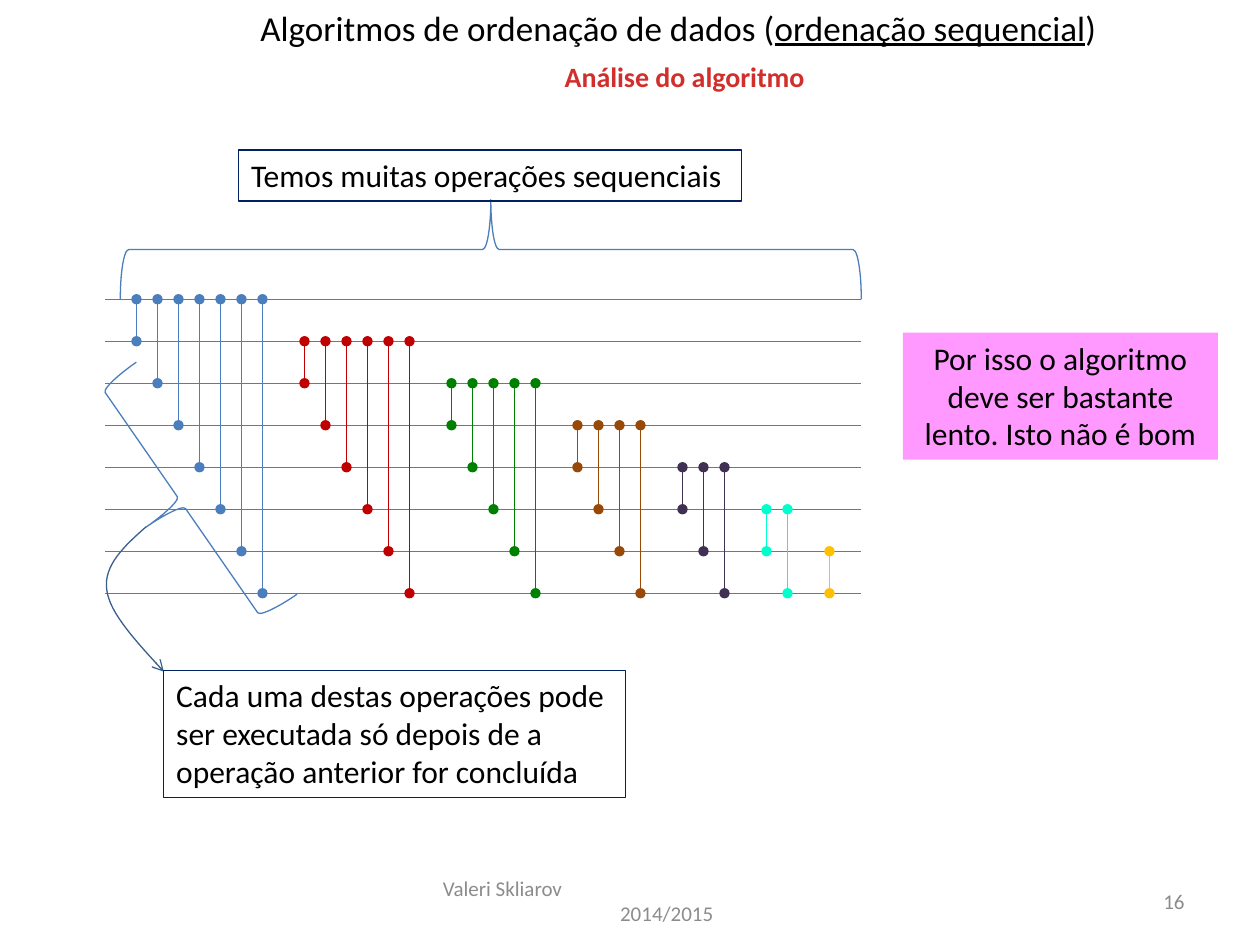
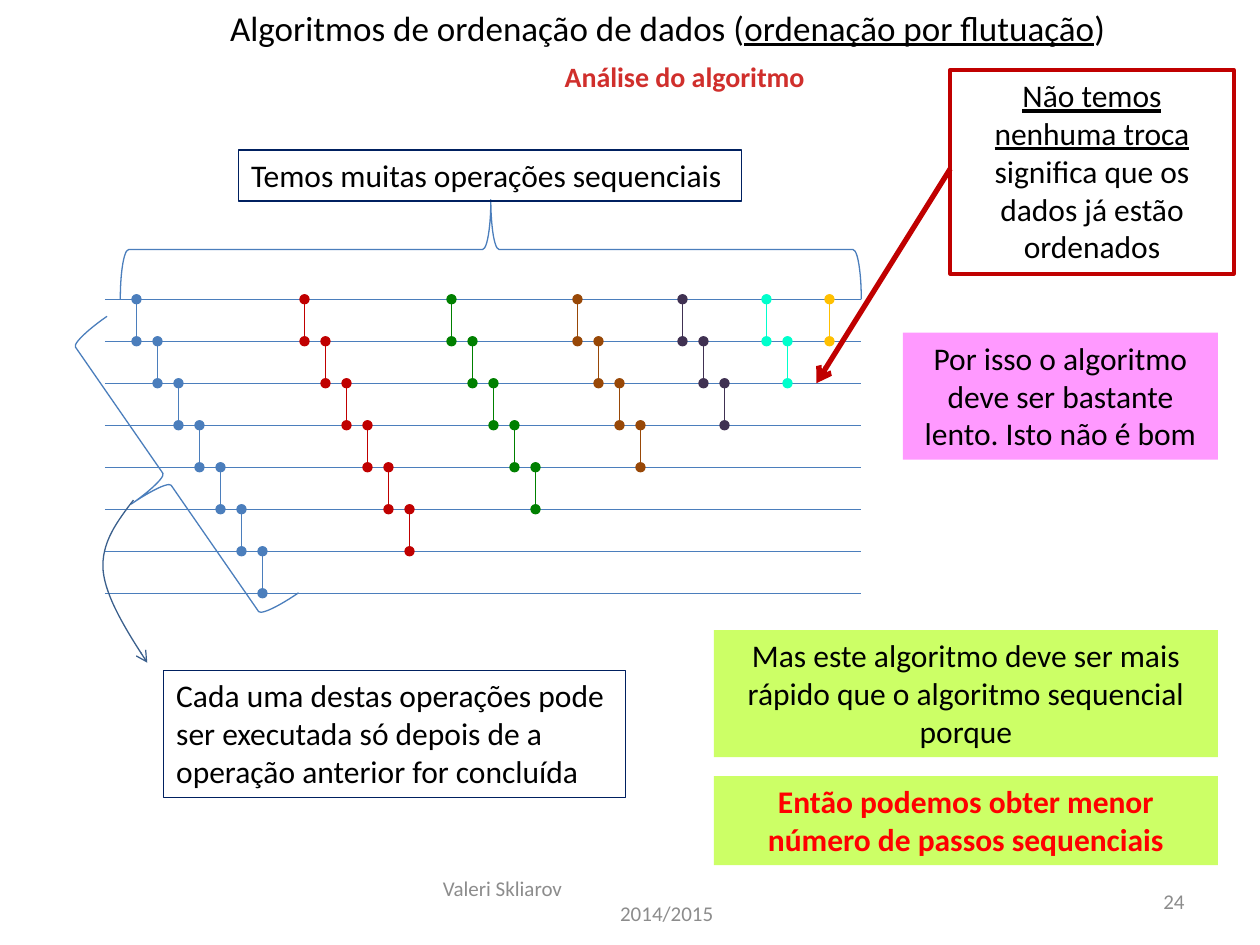
from lxml.etree import SubElement
from pptx import Presentation
from pptx.dml.color import RGBColor
from pptx.enum.shapes import MSO_CONNECTOR, MSO_SHAPE
from pptx.enum.text import MSO_ANCHOR, PP_ALIGN
from pptx.oxml.ns import qn
from pptx.util import Pt

FONT = "Calibri"
HUES = {
    "ink": "000000", "gray": "8C8C8C", "head": "D02F2C", "navy": "002060",
    "blue": "4B7EBC", "steel": "3A5F8C", "red": "C00000", "green": "008000",
    "brown": "984807", "plum": "403152", "aqua": "00FFCC", "gold": "FFC000",
    "pink": "FF99FF", "lime": "CCFF66", "alert": "FF0000",
}
RGB = {name: RGBColor.from_string(code) for name, code in HUES.items()}
PASSES = ["blue", "red", "green", "brown", "plum", "aqua", "gold"]

# Sorting grid: first wire, wire gap, step between operations
TOP, ROW, STEP = 171, 24, 12
LEFT, RIGHT = 60, 492


def box(slide, at, paras, size=18, hue="ink", bold=False, align=PP_ALIGN.CENTER,
        fill=None, edge=None, width=0.75, anchor=MSO_ANCHOR.TOP, wrap=True):
    """Text box; paras is a list of paragraphs, each a list of (text, underlined)."""
    shape = slide.shapes.add_textbox(*[Pt(v) for v in at])
    if fill:
        shape.fill.solid()
        shape.fill.fore_color.rgb = RGB[fill]
    if edge:
        shape.line.color.rgb = RGB[edge]
        shape.line.width = Pt(width)
    frame = shape.text_frame
    frame.word_wrap = wrap
    frame.vertical_anchor = anchor
    for i, runs in enumerate(paras):
        para = frame.add_paragraph() if i else frame.paragraphs[0]
        para.alignment = align
        for text, under in runs:
            run = para.add_run()
            run.text = text
            font = run.font
            font.name, font.size, font.bold = FONT, Pt(size), bold
            font.underline = under
            font.color.rgb = RGB[hue]
    return frame


def stroke(shape, hue, width=0.75, head=None, tail=None):
    """Line colour, width and end marks, without shadow."""
    shape.line.color.rgb = RGB[hue]
    shape.line.width = Pt(width)
    props = shape._element.spPr
    line = props.find(qn("a:ln"))
    for tag, kind in (("a:headEnd", head), ("a:tailEnd", tail)):
        if kind:
            SubElement(line, qn(tag), type=kind)
    SubElement(props, qn("a:effectLst"))


deck = Presentation()
deck.slide_width, deck.slide_height = Pt(720), Pt(540)

# What differs between the two slides
PAGES = [
    {"num": "16", "topic": "ordenação sequencial", "title": (132, 0, 511, 31.5),
     "brace": (79.2, 206.6, 49, 161.3),
     "curve": [(83.5, 301), (71.3, 311.8), (59, 323), (61, 337),
               (62.6, 350.6), (78.5, 367.2), (93.6, 383.8)]},
    {"num": "24", "topic": "ordenação por flutuação", "title": (120, 0, 523, 31.5),
     "brace": (70.6, 177.8, 49.7, 192.2),
     "curve": [(76.3, 285.8), (67, 298), (57.6, 310.3), (59, 326.2),
               (60.5, 341.3), (72, 360), (84.2, 378.7)]},
]

for page in PAGES:
    slide = deck.slides.add_slide(deck.slide_layouts[6])
    shapes = slide.shapes

    # Footer and page number
    foot = box(slide, (246, 500.5, 228, 28.75),
               [[("Valeri Skliarov", False)], [("2014/2015", False)]],
               12, "gray", anchor=MSO_ANCHOR.MIDDLE)
    foot.paragraphs[0].alignment = PP_ALIGN.LEFT
    foot.paragraphs[1]._p.get_or_add_pPr().set("marL", str(Pt(42)))
    box(slide, (516, 500.5, 168, 28.75), [[(page["num"], False)]], 12, "gray",
        align=PP_ALIGN.RIGHT, anchor=MSO_ANCHOR.MIDDLE)

    # Title and subtitle
    box(slide, page["title"], [[("Algoritmos de ordenação de dados (", False),
                                (page["topic"], True), (")", False)]], 20)
    box(slide, (314.6, 30.4, 153.4, 26.6), [[("Análise do algoritmo", False)]],
        16, "head", bold=True, wrap=False)

    # Wires, then one group of operations for each pass
    wires = [(LEFT, TOP + ROW * i, RIGHT, TOP + ROW * i, "blue", None)
             for i in range(8)]
    x = LEFT + 18
    for turn, hue in enumerate(PASSES):
        for k in range(7 - turn):
            if page["num"] == "16":
                first, last = turn, turn + k + 1
            else:
                first, last = k, k + 1
            wires.append((x, TOP + ROW * first, x, TOP + ROW * last, hue, "oval"))
            x += STEP
        x += STEP
    for x1, y1, x2, y2, hue, dot in wires:
        wire = shapes.add_connector(MSO_CONNECTOR.STRAIGHT,
                                    Pt(x1), Pt(y1), Pt(x2), Pt(y2))
        stroke(wire, hue, head=dot, tail=dot)

    # Braces over all operations and beside the first pass
    for at, turn in ((page["brace"], 325.3), ((252, -69.1, 56.9, 423.4), 90)):
        brace = shapes.add_shape(MSO_SHAPE.LEFT_BRACE, *[Pt(v) for v in at])
        brace.rotation = turn
        brace.fill.background()
        stroke(brace, "blue")

    # Curved arrow: two cubic arcs
    dots = page["curve"]
    path = []
    for a, b, c, d in (dots[:4], dots[3:]):
        for i in range(1, 17):
            t = i / 16
            u = 1 - t
            path.append([Pt(u**3 * a[j] + 3 * u * u * t * b[j]
                            + 3 * u * t * t * c[j] + t**3 * d[j]) for j in (0, 1)])
    pen = shapes.build_freeform(Pt(dots[0][0]), Pt(dots[0][1]))
    pen.add_line_segments(path, close=False)
    curve = pen.convert_to_shape()
    curve.fill.background()
    stroke(curve, "steel", tail="arrow")

    # Shared remarks
    box(slide, (93.6, 383, 264, 72.7),
        [[("Cada uma destas operações pode ser executada só depois de a "
           "operação anterior for concluída", False)]],
        align=PP_ALIGN.LEFT, edge="navy")
    box(slide, (136.4, 85.7, 287.3, 29.1),
        [[("Temos muitas operações sequenciais", False)]],
        align=PP_ALIGN.LEFT, edge="navy")
    box(slide, (516, 190, 180, 72.7),
        [[("Por isso o algoritmo deve ser bastante lento. Isto não é bom", False)]],
        fill="pink")

# Remarks on the second slide only
box(slide, (408, 360, 288, 72.7),
    [[("Mas este algoritmo deve ser mais rápido que o algoritmo sequencial porque",
       False)]], fill="lime")
arrow = slide.shapes.add_connector(MSO_CONNECTOR.STRAIGHT,
                                   Pt(543), Pt(96.5), Pt(466.5), Pt(219))
stroke(arrow, "red", 3, tail="arrow")
box(slide, (543, 40, 162, 116.5),
    [[("Não temos nenhuma troca", True),
      (" significa que os dados já estão ordenados", False)]],
    edge="red", width=2.25)
box(slide, (408, 443.5, 288, 50.9),
    [[("Então podemos obter menor número de passos sequenciais", False)]],
    hue="alert", bold=True, fill="lime")

deck.save("out.pptx")
